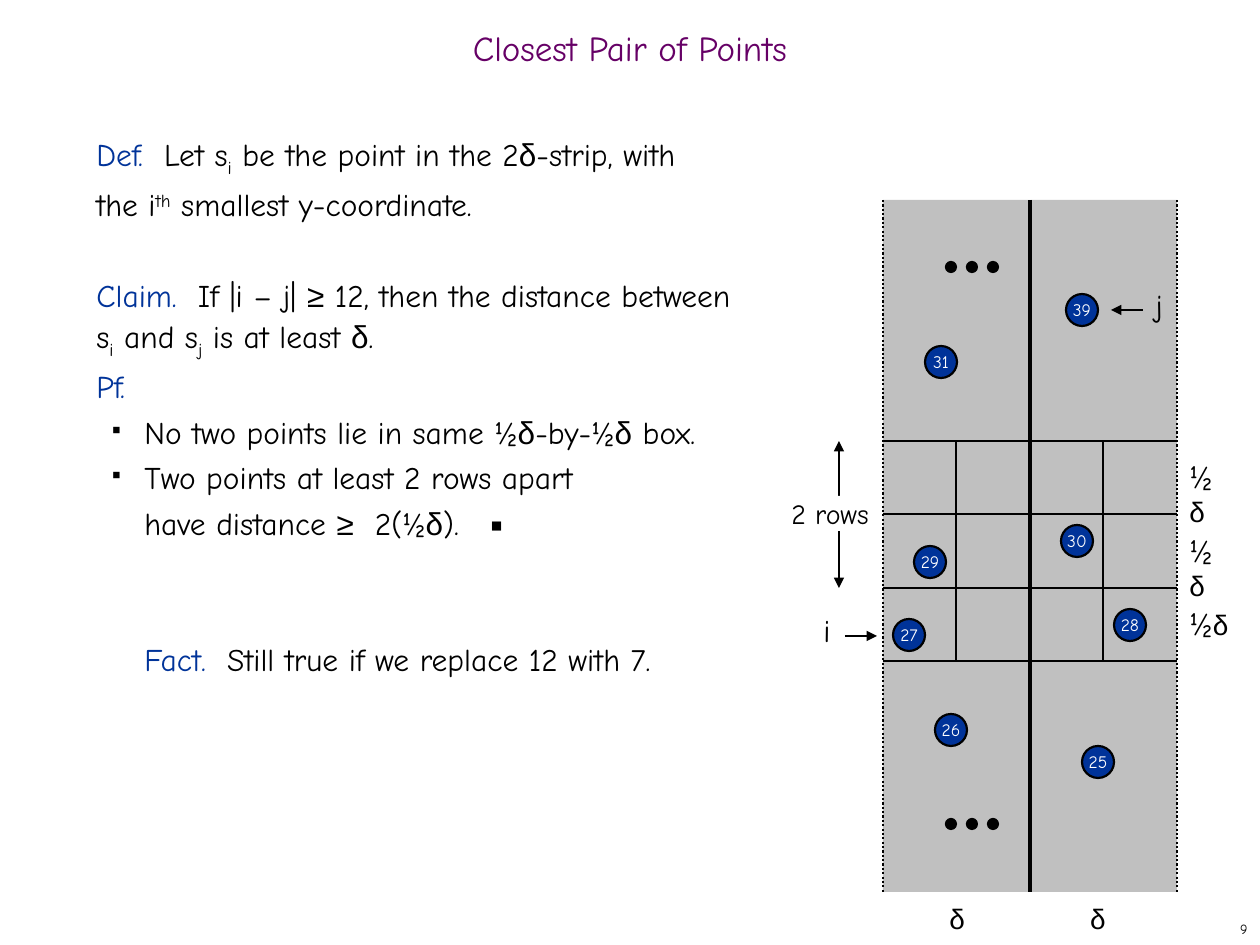
from lxml import etree
from pptx import Presentation
from pptx import util as u
from pptx.dml.color import RGBColor
from pptx.enum import dml, shapes, text
from pptx.oxml import ns

EMU_PER_PX = 914400 / 126
BLACK, WHITE, NAVY, PURPLE, GRAY = "000000", "FFFFFF", "003399", "660066", "C0C0C0"
HAND, GREEK = "Comic Neue", "Arial"
LEFT, RIGHT, CENTER = text.PP_ALIGN.LEFT, text.PP_ALIGN.RIGHT, text.PP_ALIGN.CENTER

STRIP_LEFT, STRIP_TOP, STRIP_BOTTOM = 883, 200, 892
DELTA = 147
MIDDLE, STRIP_RIGHT = STRIP_LEFT + DELTA, STRIP_LEFT + 2 * DELTA
GRID_TOP = 441
ROWS = [GRID_TOP + row * DELTA // 2 for row in range(4)]
DISC, DOT = 32, 10

STYLES = {
    "plain": {},
    "head": {"color": NAVY},
    "greek": {"font": GREEK},
    "sub": {"baseline": -25000},
    "super": {"baseline": 30000},
}
DEFINITION = [
    ("Def.  ", "head"), ("Let s", "plain"), ("i", "sub"),
    (" be the point in the 2", "plain"), ("δ", "greek"),
    ("-strip, with\nthe i", "plain"), ("th", "super"),
    (" smallest y-coordinate.", "plain"),
]
CLAIM = [
    ("Claim.  ", "head"), ("If |i – j| ", "plain"), ("≥", "greek"),
    (" 12, then the distance between\ns", "plain"), ("i", "sub"),
    (" and s", "plain"), ("j", "sub"), (" is at least ", "plain"),
    ("δ", "greek"), (".", "plain"),
]
SAME_BOX = [
    ("No two points lie in same ½", "plain"), ("δ", "greek"),
    ("-by-½", "plain"), ("δ", "greek"), (" box.", "plain"),
]
ROWS_APART = [
    ("Two points at least 2 rows apart\nhave distance ", "plain"),
    ("≥", "greek"), ("  2(½", "plain"), ("δ", "greek"), (").   ▪", "plain"),
]
FACT = [("Fact.  ", "head"), ("Still true if we replace 12 with 7.", "plain")]
POINTS = [
    ("27", 909, 635), ("29", 930, 562), ("30", 1077, 541), ("31", 941, 362),
    ("28", 1130, 625), ("26", 951, 730), ("25", 1098, 762), ("39", 1082, 310),
]


def px(length):
    return u.Emu(round(length * EMU_PER_PX))


def rgb(color):
    return RGBColor.from_string(color)


def add_run(paragraph, words, size, color=BLACK, font=HAND, baseline=None):
    for index, line in enumerate(words.split("\n")):
        if index:
            paragraph.add_line_break()
        run = paragraph.add_run()
        run.text = line
        run.font.size = u.Pt(size)
        run.font.name = font
        run.font.color.rgb = rgb(color)
        if baseline:
            run.font._element.set("baseline", str(baseline))


def add_bullet(paragraph):
    properties = paragraph._p.get_or_add_pPr()
    color = etree.SubElement(properties, ns.qn("a:buClr"))
    etree.SubElement(color, ns.qn("a:srgbClr"), val=BLACK)
    etree.SubElement(properties, ns.qn("a:buSzPct"), val="35000")
    etree.SubElement(properties, ns.qn("a:buChar"), char="■")


def add_statement(paragraph, runs, before=0, margin=0, bullet=False):
    paragraph.line_spacing = u.Pt(26)
    paragraph.space_before = u.Pt(before)
    properties = paragraph._p.get_or_add_pPr()
    properties.set("marL", str(px(margin)))
    if bullet:
        properties.set("indent", str(px(-32)))
        add_bullet(paragraph)
    for words, style in runs:
        add_run(paragraph, words, 18, **STYLES[style])


def add_proof(slide):
    frame = slide.shapes.add_textbox(px(84), px(126), px(1082), px(746)).text_frame
    frame.word_wrap = True
    add_statement(frame.paragraphs[0], DEFINITION)
    add_statement(frame.add_paragraph(), CLAIM, before=26)
    add_statement(frame.add_paragraph(), [("Pf.", "head")])
    for step in (SAME_BOX, ROWS_APART):
        add_statement(frame.add_paragraph(), step, margin=48, bullet=True)
    add_statement(frame.add_paragraph(), FACT, before=52, margin=48)


def add_title(slide):
    title = slide.shapes.title
    title.left, title.top, title.width, title.height = px(0), px(21), px(1260), px(63)
    title.text_frame.vertical_anchor = text.MSO_ANCHOR.MIDDLE
    paragraph = title.text_frame.paragraphs[0]
    paragraph.alignment = CENTER
    paragraph.line_spacing = 0.7
    add_run(paragraph, "Closest Pair of Points", 20, PURPLE)


def add_label(slide, box, runs, align=LEFT, before=10):
    frame = slide.shapes.add_textbox(*map(px, box)).text_frame
    frame.word_wrap = True
    paragraph = frame.paragraphs[0]
    paragraph.alignment = align
    paragraph.space_before = u.Pt(before)
    for words, size, font in runs:
        add_run(paragraph, words, size, font=font)


def add_figure(slide, kind, box, fill, outline=None):
    figure = slide.shapes.add_shape(kind, *map(px, box))
    figure.shadow.inherit = False
    figure.fill.solid()
    figure.fill.fore_color.rgb = rgb(fill)
    if outline:
        figure.line.color.rgb = rgb(outline)
        figure.line.width = u.Pt(1.25)
    else:
        figure.line.fill.background()
    return figure


def add_disc(slide, x, y, size, fill):
    box = (x - size / 2, y - size / 2, size, size)
    return add_figure(slide, shapes.MSO_SHAPE.OVAL, box, fill, BLACK)


def caption(figure, words, size, color):
    frame = figure.text_frame
    frame.word_wrap = False
    frame.vertical_anchor = text.MSO_ANCHOR.MIDDLE
    frame.paragraphs[0].alignment = CENTER
    add_run(frame.paragraphs[0], words, size, color)


def add_line(slide, start, end, width=0.75, dash=None, arrows=()):
    line = slide.shapes.add_connector(
        shapes.MSO_CONNECTOR.STRAIGHT, *map(px, start + end))
    line.line.color.rgb = rgb(BLACK)
    line.line.width = u.Pt(width)
    if dash:
        line.line.dash_style = dash
    outline = line.line._get_or_add_ln()
    for tip in arrows:
        etree.SubElement(outline, ns.qn("a:" + tip), type="triangle")
    etree.SubElement(line._element.spPr, ns.qn("a:effectLst"))


def add_strip(slide):
    box = (STRIP_LEFT, STRIP_TOP, 2 * DELTA, STRIP_BOTTOM - STRIP_TOP)
    add_figure(slide, shapes.MSO_SHAPE.RECTANGLE, box, GRAY)
    add_line(slide, (MIDDLE, STRIP_TOP), (MIDDLE, STRIP_BOTTOM), 2)
    for x in (STRIP_LEFT + DELTA // 2, MIDDLE + DELTA // 2):
        add_line(slide, (x, ROWS[0]), (x, ROWS[-1]))
    for y in ROWS:
        add_line(slide, (STRIP_LEFT, y), (STRIP_RIGHT, y))
    for x in (STRIP_LEFT, STRIP_RIGHT):
        add_line(slide, (x, STRIP_TOP), (x, STRIP_BOTTOM), 1.25,
                 dml.MSO_LINE.ROUND_DOT)
    for number, x, y in POINTS:
        caption(add_disc(slide, x, y, DISC, NAVY), number, 10, WHITE)
    for y in (267, 824):
        for x in (951, 972, 993):
            add_disc(slide, x, y, DOT, BLACK)


def add_measures(slide):
    add_line(slide, (839, ROWS[0]), (839, ROWS[2]), arrows=("headEnd", "tailEnd"))
    rows_box = add_figure(slide, shapes.MSO_SHAPE.RECTANGLE, (778, 496, 104, 35), WHITE)
    caption(rows_box, "2 rows", 16, BLACK)
    for x in (936, 1077):
        add_label(slide, (x, 895, 42, 47), [("δ", 16, GREEK)], CENTER)
    for top, width, height in ((451, 62, 84), (525, 62, 84), (598, 72, 50)):
        add_label(slide, (STRIP_RIGHT, top, width, height),
                  [("½", 18, HAND), ("δ", 16, GREEK)])
    for index, x, y in (("i", 806, 605), ("j", 1138, 280)):
        add_label(slide, (x, y, 42, 50), [(index, 18, HAND)], CENTER, 11.2)
    add_line(slide, (845, 636), (877, 636), arrows=("tailEnd",))
    add_line(slide, (1143, 310), (1111, 310), arrows=("tailEnd",))


def main():
    deck = Presentation()
    deck.slide_width, deck.slide_height = px(1260), px(945)
    slide = deck.slides.add_slide(deck.slide_layouts[5])
    add_title(slide)
    add_proof(slide)
    add_strip(slide)
    add_measures(slide)
    add_label(slide, (998, 914, 262, 31), [("9", 8, HAND)], RIGHT, 0)
    deck.save("out.pptx")


if __name__ == "__main__":
    main()
